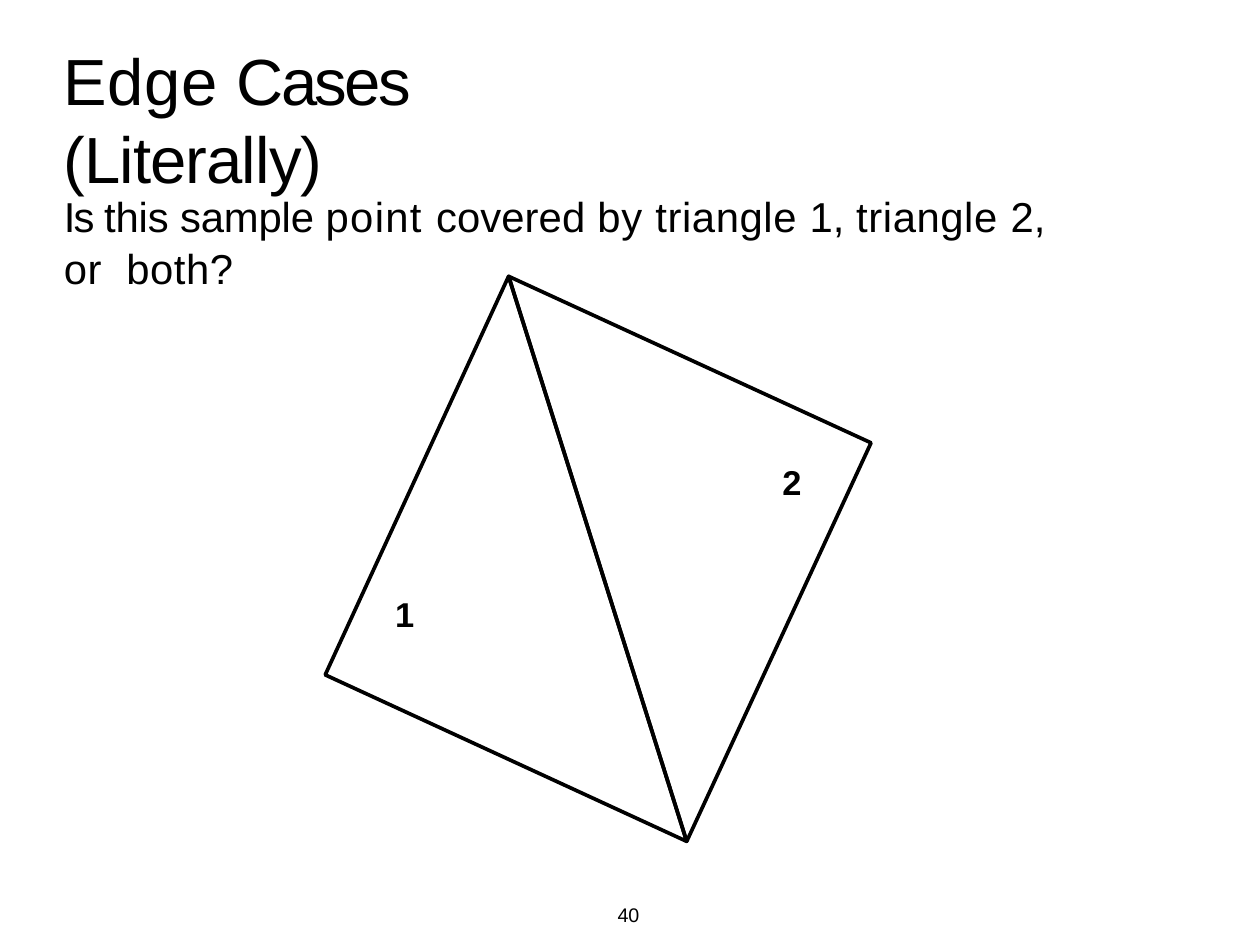
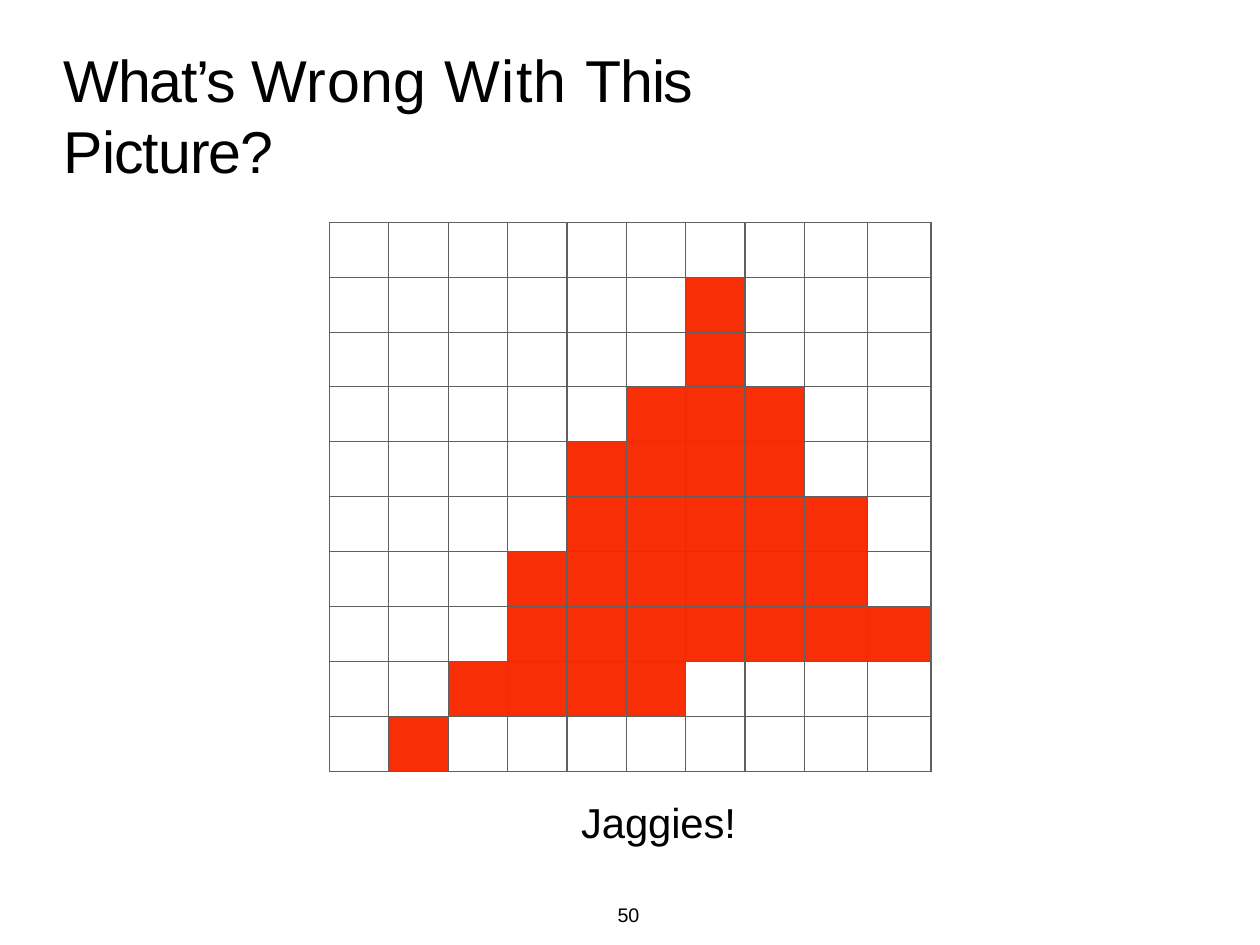
from dataclasses import dataclass
from typing import NamedTuple

import pptx
import pptx.dml.color
import pptx.enum.text
import pptx.oxml
import pptx.oxml.ns
import pptx.presentation
import pptx.shapes.autoshape
import pptx.shapes.base
import pptx.slide
import pptx.table
import pptx.util
from pptx.util import Inches


@dataclass(frozen=True)
class Theme:
    font: str = "Arial"
    ink: str = "000000"
    grid: str = "606060"
    covered: str = "F82E07"
    body_size: float = 34
    label_size: float = 28
    number_size: float = 16
    outline: float = 3


class Box(NamedTuple):
    left: float
    top: float
    width: float
    height: float


class Span(NamedTuple):
    """A stretch of text with its letter spacing in points."""
    text: str
    spacing: float = 0


class Point(NamedTuple):
    x: float
    y: float


THEME = Theme()
TABLE_LEFT, TABLE_TOP = 3.72, 2.51
COLUMN_WIDTHS = [0.67] * 8 + [0.71, 0.72]
ROW_HEIGHT = 0.62
# First covered column and number of covered columns in each row
COVERED = [(0, 0), (6, 1), (6, 1), (5, 3), (4, 4), (4, 5), (3, 6), (3, 7), (2, 4), (1, 1)]


def rgb(value: str) -> pptx.dml.color.RGBColor:
    return pptx.dml.color.RGBColor.from_string(value)


def write_text(shape: pptx.shapes.base.BaseShape, spans: list[Span], size: float,
               bold: bool = False, leading: float | None = None) -> None:
    frame = shape.text_frame
    frame.word_wrap = True
    frame.auto_size = pptx.enum.text.MSO_AUTO_SIZE.NONE
    frame.vertical_anchor = pptx.enum.text.MSO_ANCHOR.TOP
    frame.margin_left = frame.margin_right = frame.margin_bottom = 0
    frame.margin_top = Inches(0.02)
    paragraph = frame.paragraphs[0]
    paragraph.alignment = pptx.enum.text.PP_ALIGN.LEFT
    if leading is not None:
        paragraph.line_spacing = pptx.util.Pt(leading)
    paragraph.font.name = THEME.font
    paragraph.font.size = pptx.util.Pt(size)
    paragraph.font.bold = bold
    paragraph.font.color.rgb = rgb(THEME.ink)
    for span in spans:
        run = paragraph.add_run()
        run.text = span.text
        run._r.get_or_add_rPr().set("spc", str(round(span.spacing * 100)))


def add_text(slide: pptx.slide.Slide, box: Box, spans: list[Span], size: float,
             bold: bool = False, leading: float | None = None) -> None:
    shape = slide.shapes.add_textbox(*map(Inches, box))
    write_text(shape, spans, size, bold, leading)


def add_titled_slide(presentation: pptx.presentation.Presentation, box: Box,
                     title: list[Span], size: float, number: int) -> pptx.slide.Slide:
    slide = presentation.slides.add_slide(presentation.slide_layouts[5])
    shape = slide.shapes.title
    shape.left, shape.top, shape.width, shape.height = map(Inches, box)
    write_text(shape, title, size)
    add_text(slide, Box(6.97, 10.17, 0.29, 0.3), [Span(str(number), -0.1)], THEME.number_size)
    return slide


def add_triangle(slide: pptx.slide.Slide, corners: list[Point]) -> None:
    first, *others = [(Inches(corner.x), Inches(corner.y)) for corner in corners]
    builder = slide.shapes.build_freeform(*first, scale=1.0)
    builder.add_line_segments(others, close=True)
    shape = builder.convert_to_shape()
    shape.shadow.inherit = False
    shape.fill.background()
    shape.line.color.rgb = rgb(THEME.ink)
    shape.line.width = pptx.util.Pt(THEME.outline)


def format_cell(cell: pptx.table._Cell, covered: bool) -> None:
    properties = cell._tc.get_or_add_tcPr()
    for side in ("lnL", "lnR", "lnT", "lnB"):
        properties.append(pptx.oxml.parse_xml(
            f'<a:{side} {pptx.oxml.ns.nsdecls("a")} w="12700"><a:solidFill>'
            f'<a:srgbClr val="{THEME.grid}"/></a:solidFill></a:{side}>'))
    if covered:
        cell.fill.solid()
        cell.fill.fore_color.rgb = rgb(THEME.covered)
    else:
        cell.fill.background()


def add_pixel_grid(slide: pptx.slide.Slide) -> None:
    frame = slide.shapes.add_table(
        len(COVERED), len(COLUMN_WIDTHS), Inches(TABLE_LEFT), Inches(TABLE_TOP),
        Inches(sum(COLUMN_WIDTHS)), Inches(ROW_HEIGHT * len(COVERED)))
    table = frame.table
    table.first_row = table.horz_banding = False
    for column, width in zip(table.columns, COLUMN_WIDTHS):
        column.width = Inches(width)
    for row, (start, count) in zip(table.rows, COVERED):
        row.height = Inches(ROW_HEIGHT)
        for index, cell in enumerate(row.cells):
            format_cell(cell, start <= index < start + count)


def build_edge_cases(presentation: pptx.presentation.Presentation) -> None:
    slide = add_titled_slide(
        presentation, Box(0.72, 0.43, 6.8, 0.91),
        [Span("Edge ", 0.4), Span("Cases ", -2.2), Span("(Literally)", -0.8)], 53, 40)
    # Question, with a wide gap inside "or both?"
    add_text(slide, Box(0.72, 2.12, 11.4, 1.18), [
        Span("Is ", -1.5), Span("this sample ", -0.1), Span("point ", 1.1),
        Span("covered ", 0.1), Span("by ", 0.6), Span("triangle ", 0.5), Span("1, "),
        Span("triangle ", 0.5), Span("2, "), Span("or", 0.6), Span(" ", 10),
        Span("both?", 0.5)], THEME.body_size, leading=42)
    # Two triangles sharing an edge
    top, bottom = Point(5.74, 3.12), Point(7.75, 9.5)
    for outer in (Point(9.83, 5), Point(3.67, 7.62)):
        add_triangle(slide, [outer, top, bottom])
    # Triangle numbers
    for label, place in (("1", Point(4.46, 6.68)), ("2", Point(8.83, 5.19))):
        add_text(slide, Box(*place, 0.26, 0.49), [Span(label, 1)], THEME.label_size, bold=True)


def build_jaggies(presentation: pptx.presentation.Presentation) -> None:
    slide = add_titled_slide(
        presentation, Box(0.72, 0.47, 9.4, 0.83),
        [Span("What’s ", -1.1), Span("Wrong ", 0.5), Span("With ", 1.1),
         Span("This ", -1.1), Span("Picture?", -0.8)], 48, 50)
    add_pixel_grid(slide)
    add_text(slide, Box(6.56, 8.97, 1.79, 0.59), [Span("Jaggies!", -0.1)], THEME.body_size)


def main() -> None:
    presentation = pptx.Presentation()
    presentation.slide_width = Inches(14.22)
    presentation.slide_height = Inches(10.67)
    build_edge_cases(presentation)
    build_jaggies(presentation)
    presentation.save("out.pptx")


if __name__ == "__main__":
    main()
